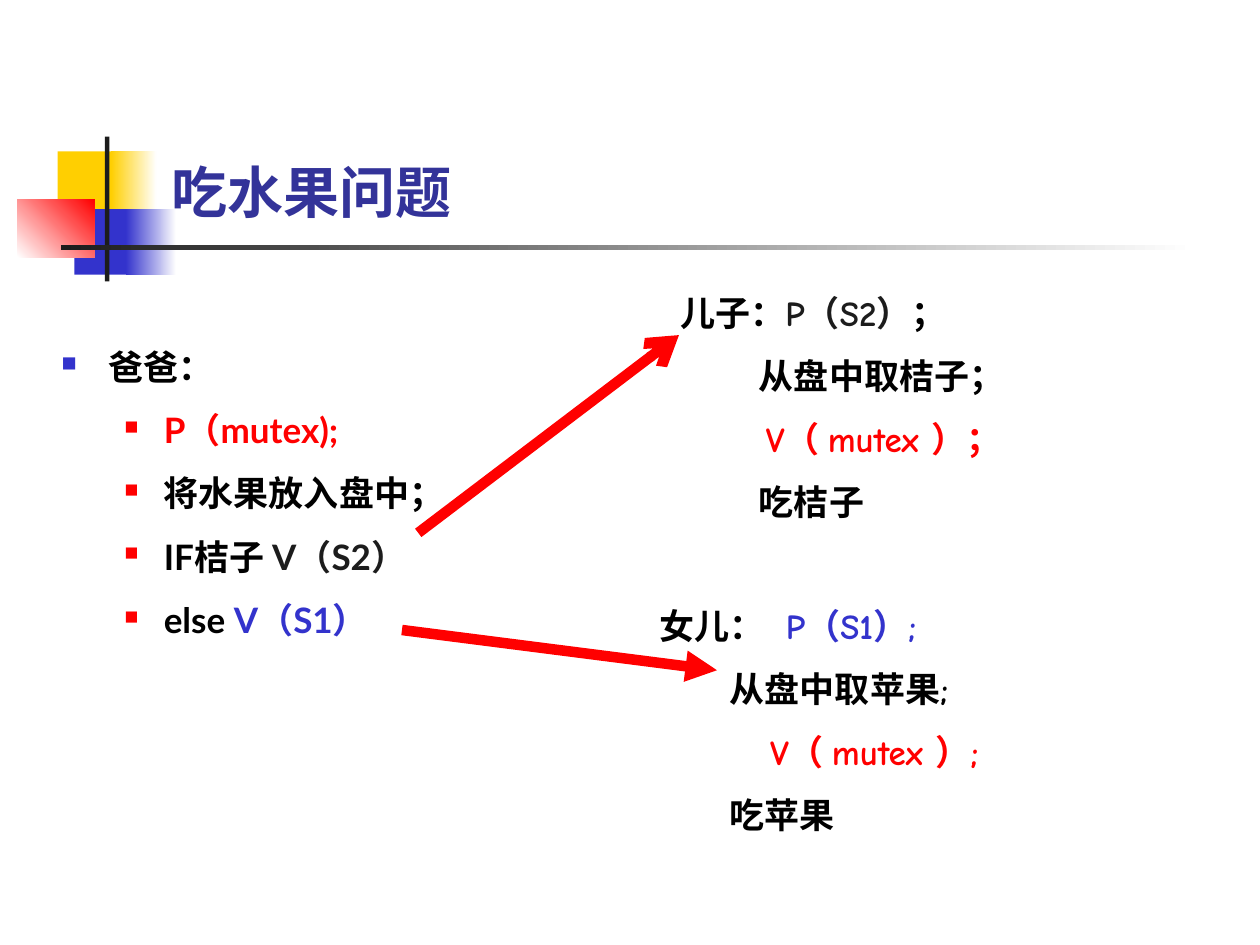
from lxml.etree import SubElement
from pptx import Presentation
from pptx.dml.color import RGBColor
from pptx.enum.shapes import MSO_CONNECTOR as Connector, MSO_SHAPE as Shape
from pptx.enum.text import MSO_ANCHOR as Anchor
from pptx.oxml.ns import qn
from pptx.util import Pt

YELLOW = RGBColor(0xFF, 0xCF, 0x01)
BLUE = RGBColor(0x33, 0x33, 0xCC)
NAVY = RGBColor(0x33, 0x33, 0x99)
RED = RGBColor(0xFF, 0x00, 0x00)
DARK = RGBColor(0x1C, 0x1C, 0x1C)
BLACK = RGBColor(0x00, 0x00, 0x00)
WHITE = RGBColor(0xFF, 0xFF, 0xFF)


def add_block(slide, left, top, width, height, color, end_color=None, angle=0):
    """Rectangle with a solid fill, or a gradient when end_color is given."""
    block = slide.shapes.add_shape(
        Shape.RECTANGLE, Pt(left), Pt(top), Pt(width), Pt(height))
    block.shadow.inherit = False
    block.line.fill.background()
    if end_color is None:
        block.fill.solid()
        block.fill.fore_color.rgb = color
    else:
        block.fill.gradient()
        block.fill.gradient_angle = angle
        for stop, stop_color in zip(block.fill.gradient_stops, (color, end_color)):
            stop.color.rgb = stop_color


def add_text_box(slide, left, top, width, height, anchor=Anchor.TOP):
    frame = slide.shapes.add_textbox(
        Pt(left), Pt(top), Pt(width), Pt(height)).text_frame
    frame.word_wrap = True
    frame.vertical_anchor = anchor
    return frame


def add_paragraph(frame, *runs, font="Lato", size=20, spacing=1.0, before=0,
                  indent=0, hanging=0, bullet_color=None, bullet_size=60, tab=None):
    """Add one bold paragraph made of (text, color) runs."""
    first = not frame.paragraphs[0].runs
    paragraph = frame.paragraphs[0] if first else frame.add_paragraph()
    paragraph.line_spacing = spacing
    paragraph.space_before = Pt(0 if first else before)
    properties = paragraph._p.get_or_add_pPr()
    properties.set("marL", str(Pt(indent)))
    properties.set("indent", str(Pt(-hanging)))
    if bullet_color is not None:
        color = SubElement(properties, qn("a:buClr"))
        SubElement(color, qn("a:srgbClr"), val=str(bullet_color))
        SubElement(properties, qn("a:buSzPct"), val=str(bullet_size * 1000))
        SubElement(properties, qn("a:buChar"), char="■")
    if tab is not None:
        tabs = SubElement(properties, qn("a:tabLst"))
        SubElement(tabs, qn("a:tab"), pos=str(Pt(tab)), algn="l")
    for text, color in runs:
        run = paragraph.add_run()
        run.text = text
        run.font.name = font
        run.font.size = Pt(size)
        run.font.bold = True
        run.font.color.rgb = color


def add_arrow(slide, start, end, head):
    arrow = slide.shapes.add_connector(
        Connector.STRAIGHT, *(Pt(value) for value in start + end))
    arrow.line.color.rgb = RED
    arrow.line.width = Pt(6)
    SubElement(arrow.line._get_or_add_ln(), qn("a:tailEnd"), type=head)
    SubElement(arrow._element.spPr, qn("a:effectLst"))


def add_decoration(slide):
    add_block(slide, 33, 86.5, 34.5, 37.5, YELLOW)
    add_block(slide, 63.5, 86.5, 26, 37.5, YELLOW, WHITE)
    add_block(slide, 42.5, 119.5, 33, 37.5, BLUE)
    add_block(slide, 72, 119.5, 28.8, 37.5, BLUE, WHITE)
    add_block(slide, 10, 113.8, 44, 33.2, WHITE, RED, angle=45)
    add_block(slide, 60, 78, 2.5, 82.8, DARK)
    add_block(slide, 34.8, 140.2, 648, 2.5, DARK, WHITE)


def add_father(slide):
    frame = add_text_box(slide, 28, 186.5, 291, 232)
    add_paragraph(frame, ("爸爸：", BLACK), spacing=1.3, indent=27, hanging=27,
                  bullet_color=BLUE)
    steps = [
        [("P（mutex);", RED)],
        [("将水果放入盘中；", BLACK)],
        [("IF桔子 ", BLACK), ("V（S2）", DARK)],
        [("else ", BLACK), ("V（S1）", BLUE)],
    ]
    for runs in steps:
        add_paragraph(frame, *runs, spacing=1.3, before=5, indent=58.5,
                      hanging=22.5, bullet_color=RED, bullet_size=55)


def add_child(slide, left, top, width, heading, steps, tab=None):
    """Process of one child: a heading, then (indent, text, color) steps."""
    frame = add_text_box(slide, left, top, width, 151)
    style = {"font": "Comic Neue", "spacing": 1.5}
    add_paragraph(frame, *heading, tab=tab, **style)
    for indent, text, color in steps:
        add_paragraph(frame, (text, color), indent=indent, **style)


def main():
    presentation = Presentation()
    presentation.slide_width = Pt(720)
    presentation.slide_height = Pt(540)
    slide = presentation.slides.add_slide(presentation.slide_layouts[6])

    # Corner blocks, rules and title
    add_decoration(slide)
    title = add_text_box(slide, 90.7, 16.5, 613.5, 115.2, Anchor.BOTTOM)
    add_paragraph(title, ("吃水果问题", NAVY), size=32)

    # The three processes
    add_father(slide)
    add_child(slide, 381.6, 151.2, 273,
              [("儿子：", BLACK), ("P（S2）", DARK), ("；", BLACK)],
              [(45, "从盘中取桔子；", BLACK),
               (49, "V（ mutex ）；", RED),
               (45, "吃桔子", BLACK)])
    add_child(slide, 370, 329.8, 260,
              [("女儿：\t", BLACK), ("P（S1）;", BLUE)],
              [(40, "从盘中取苹果;", BLACK),
               (63, "V（ mutex ）;", RED),
               (40, "吃苹果", BLACK)], tab=73)

    # Signals from father to the children
    add_arrow(slide, (239, 304.5), (388, 191.5), "arrow")
    add_arrow(slide, (229.7, 360), (409.7, 383), "triangle")

    presentation.save("out.pptx")


if __name__ == "__main__":
    main()
